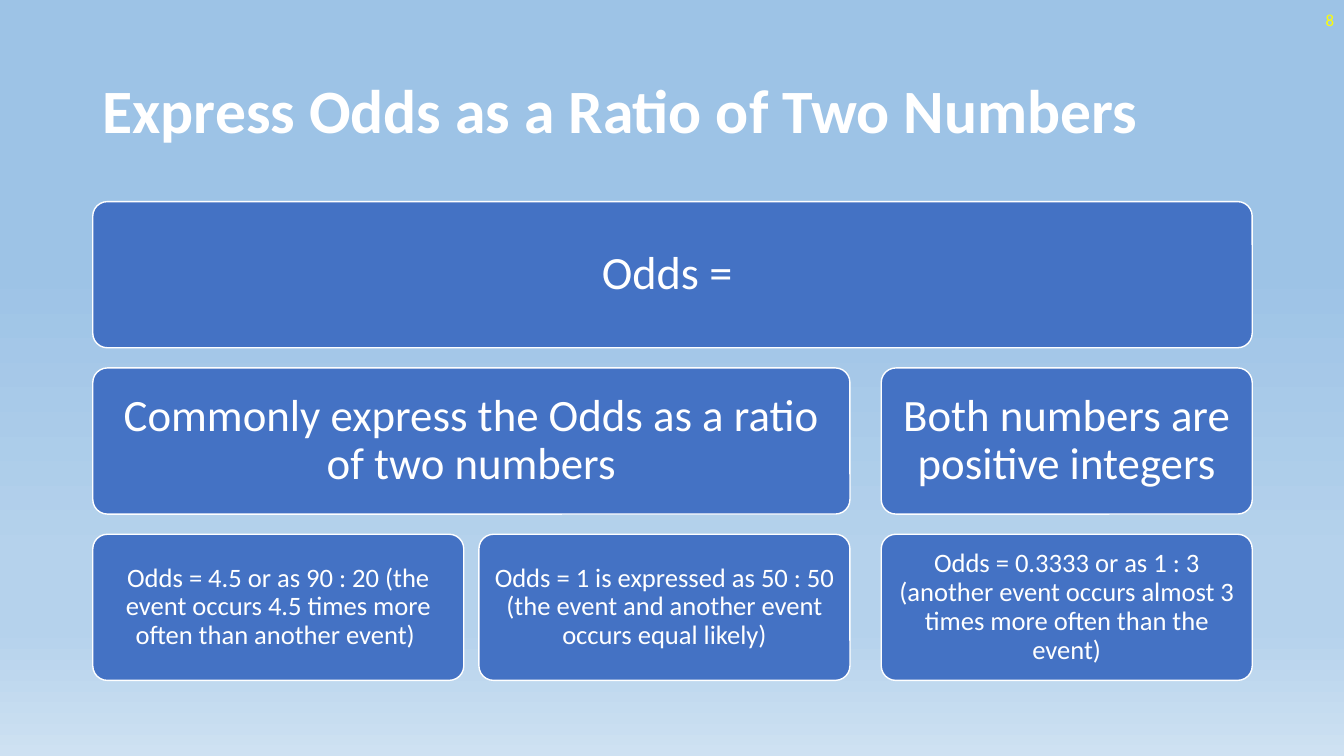
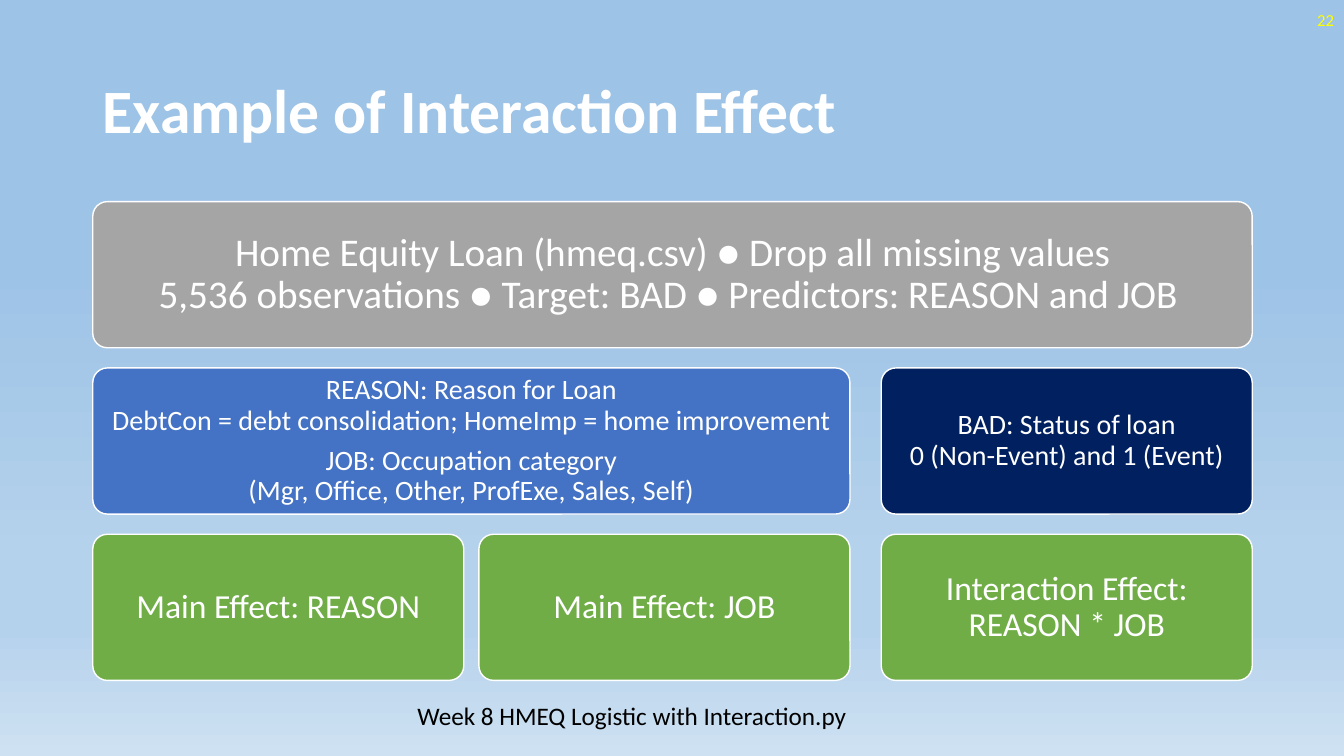
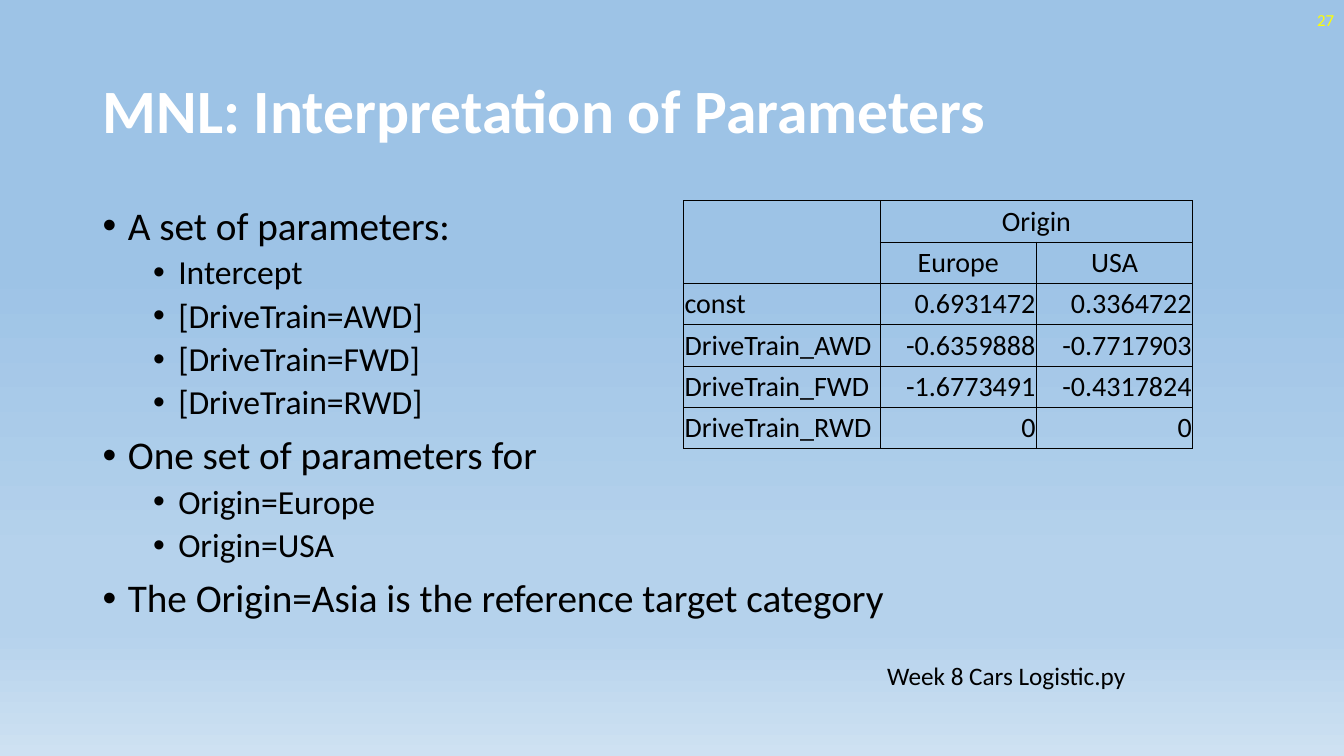
from dataclasses import dataclass

from lxml import etree
from pptx import Presentation
from pptx.dml.color import RGBColor
from pptx.enum.shapes import MSO_SHAPE
from pptx.enum.text import MSO_ANCHOR, PP_ALIGN
from pptx.oxml.ns import qn
from pptx.util import Pt

PX = 9144  # EMU per px, 100 px to the inch
ROUND_RECT = MSO_SHAPE.ROUNDED_RECTANGLE
TOP, MIDDLE = MSO_ANCHOR.TOP, MSO_ANCHOR.MIDDLE
LEFT, CENTER, RIGHT = PP_ALIGN.LEFT, PP_ALIGN.CENTER, PP_ALIGN.RIGHT


@dataclass(frozen=True)
class Theme:
    font: str = "Calibri"
    white: str = "FFFFFF"
    black: str = "000000"
    yellow: str = "FFFF00"
    blue: str = "4472C4"
    navy: str = "002060"
    green: str = "70AD47"
    gray: str = "A5A5A5"
    backdrop: tuple = ((35, "9DC3E6"), (74, "B5D2EC"), (83, "B5D2EC"), (100, "CEE1F2"))
    title: int = 44
    number: int = 12
    caption: int = 18
    cell: int = 20
    bullets: tuple = (28, 24)  # by outline level
    bullet_gaps: tuple = (10, 5)
    bullet_indents: tuple = (25, 75)
    tight: float = 0.9


THEME = Theme()

# Box grid: three columns, three rows
COLUMN_X = (92, 475, 874)
COLUMN_W = 368
ROW_TOP, ROW_STEP, ROW_H = 200, 165, 145
CONTENT_W = COLUMN_X[-1] + COLUMN_W - COLUMN_X[0]


def px(*lengths):
    return [length * PX for length in lengths]


def write(paragraph, text, *, size, color=THEME.black, bold=False, align=LEFT,
          spacing=1.0, before=0, after=0):
    paragraph.text = text
    paragraph.alignment = align
    paragraph.line_spacing = spacing
    paragraph.space_before, paragraph.space_after = Pt(before), Pt(after)
    for run in paragraph.runs:
        run.font.name, run.font.size, run.font.bold = THEME.font, Pt(size), bold
        run.font.color.rgb = RGBColor.from_string(color)


def set_insets(target, left, top, right, bottom):
    (target.margin_left, target.margin_top,
     target.margin_right, target.margin_bottom) = px(left, top, right, bottom)


class Deck:
    def __init__(self, theme):
        self.theme = theme
        self.prs = Presentation()
        self.prs.slide_width, self.prs.slide_height = px(1333, 750)
        self.slide = None

    def new_slide(self, title, number):
        self.slide = self.prs.slides.add_slide(self.prs.slide_layouts[6])
        self.paint_background()
        self.text(title, 92, 40, CONTENT_W, 145, anchor=MIDDLE, size=self.theme.title,
                  color=self.theme.white, bold=True, spacing=self.theme.tight)
        self.text(number, 1033, 0, 300, 40, anchor=MIDDLE, size=self.theme.number,
                  color=self.theme.yellow, align=RIGHT)

    def paint_background(self):
        fill = self.slide.background.fill
        fill.gradient()
        fill.gradient_angle = 270
        stops = self.slide.element.find(".//" + qn("a:gsLst"))
        for old_stop in list(stops):
            stops.remove(old_stop)
        for percent, color in self.theme.backdrop:
            stop = etree.SubElement(stops, qn("a:gs"), pos=str(percent * 1000))
            etree.SubElement(stop, qn("a:srgbClr"), val=color)

    def frame(self, x, y, w, h, anchor=TOP):
        frame = self.slide.shapes.add_textbox(*px(x, y, w, h)).text_frame
        frame.word_wrap = True
        frame.vertical_anchor = anchor
        return frame

    def text(self, text, x, y, w, h, anchor=TOP, **style):
        write(self.frame(x, y, w, h, anchor).paragraphs[0], text, **style)

    def caption(self, text, x, y, w):
        self.text(text, x, y, w, 40, size=self.theme.caption)

    def box(self, row, first, last, fill, size, inset, *paragraphs):
        """Rounded box spanning grid columns first to last."""
        x = COLUMN_X[first]
        width = COLUMN_X[last] + COLUMN_W - x
        box = self.slide.shapes.add_shape(
            ROUND_RECT, *px(x, ROW_TOP + row * ROW_STEP, width, ROW_H))
        box.shadow.inherit = False
        box.adjustments[0] = 0.1
        box.fill.solid()
        box.fill.fore_color.rgb = RGBColor.from_string(fill)
        box.line.color.rgb = RGBColor.from_string(self.theme.white)
        box.line.width = Pt(1)
        frame = box.text_frame
        frame.word_wrap = True
        frame.vertical_anchor = MIDDLE
        set_insets(frame, *[inset] * 4)
        for index, text in enumerate(paragraphs):
            paragraph = frame.add_paragraph() if index else frame.paragraphs[0]
            is_last = index == len(paragraphs) - 1
            write(paragraph, text, size=size, color=self.theme.white, align=CENTER,
                  spacing=self.theme.tight, after=0 if is_last else 0.35 * size)

    def bullets(self, items, x, y, w, h):
        frame = self.frame(x, y, w, h)
        for index, (level, text) in enumerate(items):
            paragraph = frame.add_paragraph() if index else frame.paragraphs[0]
            write(paragraph, text, size=self.theme.bullets[level],
                  spacing=self.theme.tight, before=self.theme.bullet_gaps[level])
            paragraph.level = level
            properties = paragraph._p.get_or_add_pPr()
            indent, hanging = px(self.theme.bullet_indents[level], -25)
            properties.set("marL", str(indent))
            properties.set("indent", str(hanging))
            etree.SubElement(properties, qn("a:buFont"), typeface="Arial")
            etree.SubElement(properties, qn("a:buChar"), char="•")

    def table(self, rows, x, y, widths, row_height, header_rows, merges):
        table = self.slide.shapes.add_table(
            len(rows), len(widths),
            *px(x, y, sum(widths), row_height * len(rows))).table
        table.first_row = table.horz_banding = False
        for column, width in zip(table.columns, widths):
            column.width = width * PX
        for r, row in enumerate(rows):
            for c, text in enumerate(row):
                cell = table.cell(r, c)
                self.cell_borders(cell)
                cell.fill.background()
                cell.vertical_anchor = MIDDLE
                set_insets(cell, 1, 1, 1, 0)
                align = CENTER if r < header_rows else RIGHT if c else LEFT
                write(cell.text_frame.paragraphs[0], text,
                      size=self.theme.cell, align=align)
        for start, end in merges:
            table.cell(*start).merge(table.cell(*end))

    def cell_borders(self, cell):
        properties = cell._tc.get_or_add_tcPr()
        for side in ("lnL", "lnR", "lnT", "lnB"):
            line = etree.SubElement(properties, qn("a:" + side), w=str(Pt(0.5)))
            fill = etree.SubElement(line, qn("a:solidFill"))
            etree.SubElement(fill, qn("a:srgbClr"), val=self.theme.black)


def odds_slide(deck):
    deck.new_slide("Express Odds as a Ratio of Two Numbers", "8")
    blue = THEME.blue
    deck.box(0, 0, 2, blue, 33, 14, "Odds = ")
    deck.box(1, 0, 1, blue, 32, 13, "Commonly express the Odds as a ratio of two numbers")
    deck.box(1, 2, 2, blue, 32, 13, "Both numbers are positive integers")
    examples = (
        "Odds = 4.5 or as 90 : 20 (the event occurs 4.5 times more often than another event) ",
        "Odds = 1 is expressed as 50 : 50 (the event and another event occurs equal likely)",
        "Odds = 0.3333 or as 1 : 3 (another event occurs almost 3 times more often than the event)",
    )
    for column, example in enumerate(examples):
        deck.box(2, column, column, blue, 19, 8, example)


def interaction_slide(deck):
    deck.new_slide("Example of Interaction Effect", "22")
    deck.box(0, 0, 2, THEME.gray, 28, 12,
             "Home Equity Loan (hmeq.csv) ● Drop all missing values\n"
             "5,536 observations ● Target: BAD ● Predictors: REASON and JOB ")
    deck.box(1, 0, 1, THEME.blue, 20, 8,
             "REASON: Reason for Loan\nDebtCon = debt consolidation; HomeImp = home improvement",
             "JOB: Occupation category\n(Mgr, Office, Other, ProfExe, Sales, Self)")
    deck.box(1, 2, 2, THEME.navy, 20, 8,
             "BAD: Status of loan\n0 (Non-Event) and 1 (Event)")
    effects = ("Main Effect: REASON", "Main Effect: JOB", "Interaction Effect:\nREASON * JOB")
    for column, effect in enumerate(effects):
        deck.box(2, column, column, THEME.green, 24, 10, effect)
    deck.caption("Week 8 HMEQ Logistic with Interaction.py", 404, 690, 451)


def parameters_slide(deck):
    deck.new_slide("MNL: Interpretation of Parameters", "27")
    deck.bullets([
        (0, "A set of parameters:"),
        (1, "Intercept"),
        (1, "[DriveTrain=AWD]"),
        (1, "[DriveTrain=FWD]"),
        (1, "[DriveTrain=RWD]"),
        (0, "One set of parameters for"),
        (1, "Origin=Europe"),
        (1, "Origin=USA"),
        (0, "The Origin=Asia is the reference target category"),
    ], 92, 200, CONTENT_W, 476)
    estimates = [
        ("", "Origin", ""),
        ("", "Europe", "USA"),
        ("const", "0.6931472", "0.3364722"),
        ("DriveTrain_AWD", "-0.6359888", "-0.7717903"),
        ("DriveTrain_FWD", "-1.6773491", "-0.4317824"),
        ("DriveTrain_RWD", "0", "0"),
    ]
    deck.table(estimates, 678, 199, (195, 155, 155), 41, header_rows=2,
               merges=[((0, 0), (1, 0)), ((0, 1), (0, 2))])
    deck.caption("Week 8 Cars Logistic.py", 870, 650, 259)


def main():
    deck = Deck(THEME)
    odds_slide(deck)
    interaction_slide(deck)
    parameters_slide(deck)
    deck.prs.save("out.pptx")


if __name__ == "__main__":
    main()
